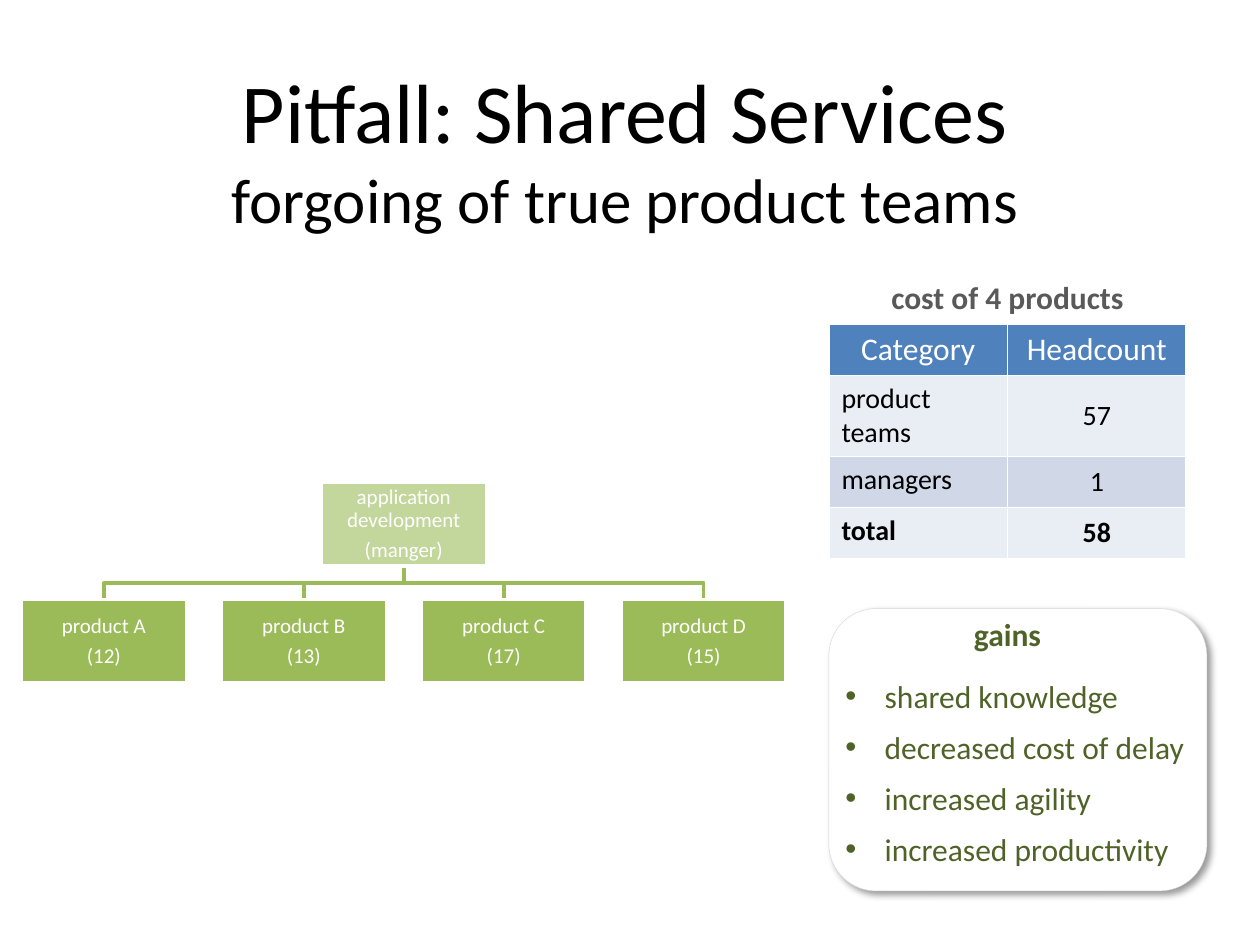
import pptx
import pptx.util
import pptx.dml.color
import pptx.enum.shapes
import pptx.enum.text
import pptx.oxml
import pptx.oxml.ns

Cm, Pt = pptx.util.Cm, pptx.util.Pt
ALIGN = pptx.enum.text.PP_ALIGN
ANCHOR = pptx.enum.text.MSO_ANCHOR
KIND = pptx.enum.shapes.MSO_SHAPE
NS = pptx.oxml.ns.nsdecls("a")

WHITE, BLACK = "FFFFFF", "000000"
GREEN, PALE, DARK = "9BBB59", "C3D69B", "4F6228"
BLUE, GREY = "4F81BD", "595959"
BANDS = ["E9EDF4", "D0D8E8"]


def color(code):
    return pptx.dml.color.RGBColor.from_string(code)


def paint(fill, code):
    fill.solid()
    fill.fore_color.rgb = color(code)


def stroke(shape, code, width):
    shape.line.color.rgb = color(code)
    shape.line.width = Pt(width)


def style(para, size, code, bold=False, align=ALIGN.CENTER):
    para.alignment = align
    font = para.font
    font.name, font.size, font.bold = "Calibri", Pt(size), bold
    font.color.rgb = color(code)


def place(shape, x, y, w, h):
    shape.left, shape.top, shape.width, shape.height = Cm(x), Cm(y), Cm(w), Cm(h)


def add_title(slide, x, y, w, h):
    title = slide.shapes.title
    place(title, x, y, w, h)
    frame = title.text_frame
    frame.text = "Pitfall: Shared Services\nforgoing of true product teams"
    frame.auto_size = pptx.enum.text.MSO_AUTO_SIZE.NONE
    frame.vertical_anchor = ANCHOR.TOP
    for para, size in zip(frame.paragraphs, (48, 36)):
        style(para, size, BLACK)


def add_team(slide, text, code, x, y, w, h):
    box = slide.shapes.add_shape(KIND.RECTANGLE, Cm(x), Cm(y), Cm(w), Cm(h))
    box.shadow.inherit = False
    paint(box.fill, code)
    stroke(box, WHITE, 2)
    frame = box.text_frame
    frame.text = text
    frame.word_wrap = True
    frame.vertical_anchor = ANCHOR.MIDDLE
    frame.margin_left = frame.margin_right = Cm(0.03)
    frame.margin_top = frame.margin_bottom = Cm(0.03)
    for para in frame.paragraphs:
        style(para, 12, WHITE)
        para.line_spacing = 0.9
        para.space_after = Pt(4.2)


def add_link(slide, x1, y1, x2, y2):
    mid = (y1 + y2) / 2
    path = slide.shapes.build_freeform(Cm(x1), Cm(y1))
    bends = [(x1, mid), (x2, mid), (x2, y2)]
    path.add_line_segments([(Cm(x), Cm(y)) for x, y in bends], close=False)
    link = path.convert_to_shape()
    link.shadow.inherit = False
    link.fill.background()
    stroke(link, GREEN, 2)


def add_chart(slide, x, y, w, h):
    wide, high = 3.33, 1.68
    teams = ["product A\n(12)", "product B\n(13)", "product C\n(17)", "product D\n(15)"]
    step = (w - wide) / (len(teams) - 1)
    mid, low = x + w / 2, y + h - high
    # Links lie behind the boxes
    for i in range(len(teams)):
        add_link(slide, mid, y + high, x + i * step + wide / 2, low)
    add_team(slide, "application development\n(manger)", PALE, mid - wide / 2, y, wide, high)
    for i, text in enumerate(teams):
        add_team(slide, text, GREEN, x + i * step, low, wide, high)


def add_border(cell):
    props = cell._tc.get_or_add_tcPr()
    for i, side in enumerate(("lnL", "lnR", "lnT", "lnB")):
        props.insert(i, pptx.oxml.parse_xml(
            f'<a:{side} {NS} w="12700"><a:solidFill><a:srgbClr val="{WHITE}"/>'
            f'</a:solidFill></a:{side}>'))


def add_costs(slide, x, y, w, h):
    rows = [("cost of 4 products", ""), ("Category", "Headcount"),
            ("product teams", "57"), ("managers", "1"), ("total", "58")]
    table = slide.shapes.add_table(len(rows), 2, Cm(x), Cm(y), Cm(w), Cm(h)).table
    for r, row in enumerate(rows):
        for c, text in enumerate(row):
            cell = table.cell(r, c)
            cell.text = text
            para = cell.text_frame.paragraphs[0]
            if r == 0:
                cell.fill.background()
                style(para, 18, GREY, True)
            elif r == 1:
                paint(cell.fill, BLUE)
                style(para, 18, WHITE)
            else:
                paint(cell.fill, BANDS[r % 2])
                cell.vertical_anchor = ANCHOR.MIDDLE if c else ANCHOR.TOP
                side = ALIGN.CENTER if c else ALIGN.LEFT
                style(para, 16, BLACK, text in rows[-1], side)
            add_border(cell)
    table.cell(0, 0).merge(table.cell(0, 1))


def add_gains(slide, x, y, w, h):
    # Card, sent behind the placeholders
    card = slide.shapes.add_shape(KIND.ROUNDED_RECTANGLE, Cm(x), Cm(y), Cm(w), Cm(h))
    paint(card.fill, WHITE)
    stroke(card, "D9D9D9", 0.25)
    card._element.spPr.append(pptx.oxml.parse_xml(
        f'<a:effectLst {NS}><a:outerShdw blurRad="{Pt(4)}" dist="{Pt(3)}" dir="2700000" '
        f'algn="tl" rotWithShape="0"><a:srgbClr val="{BLACK}"><a:alpha val="40000"/>'
        f'</a:srgbClr></a:outerShdw></a:effectLst>'))
    slide.shapes._spTree.insert(2, card._element)

    # Heading
    head = slide.shapes.add_textbox(Cm(x), Cm(y), Cm(w - 0.42), Cm(1.02)).text_frame
    head.word_wrap = True
    head.text = "gains"
    style(head.paragraphs[0], 18, DARK, True)

    # List
    body = slide.placeholders[1]
    place(body, x + 0.08, y + 1.25, w - 0.08, h - 1.3)
    frame = body.text_frame
    frame.text = ("shared knowledge\ndecreased cost of delay\n"
                  "increased agility\nincreased productivity")
    frame.auto_size = pptx.enum.text.MSO_AUTO_SIZE.NONE
    frame.vertical_anchor = ANCHOR.TOP
    for para in frame.paragraphs:
        style(para, 18, DARK, align=ALIGN.LEFT)
        para.space_before, para.space_after = Pt(0), Pt(7.5)
        props = para._p.get_or_add_pPr()
        props.set("marL", str(Cm(0.79)))
        props.set("indent", str(-Cm(0.79)))


def main():
    deck = pptx.Presentation()
    deck.slide_width, deck.slide_height = Cm(25.4), Cm(19.05)
    slide = deck.slides.add_slide(deck.slide_layouts[1])
    add_title(slide, 1.27, 1.07, 22.66, 3.84)
    add_chart(slide, 0.43, 9.73, 15.42, 4.04)
    add_costs(slide, 16.71, 5.51, 7.2, 5.15)
    add_gains(slide, 16.71, 12.27, 7.62, 5.69)
    deck.save("out.pptx")


if __name__ == "__main__":
    main()
